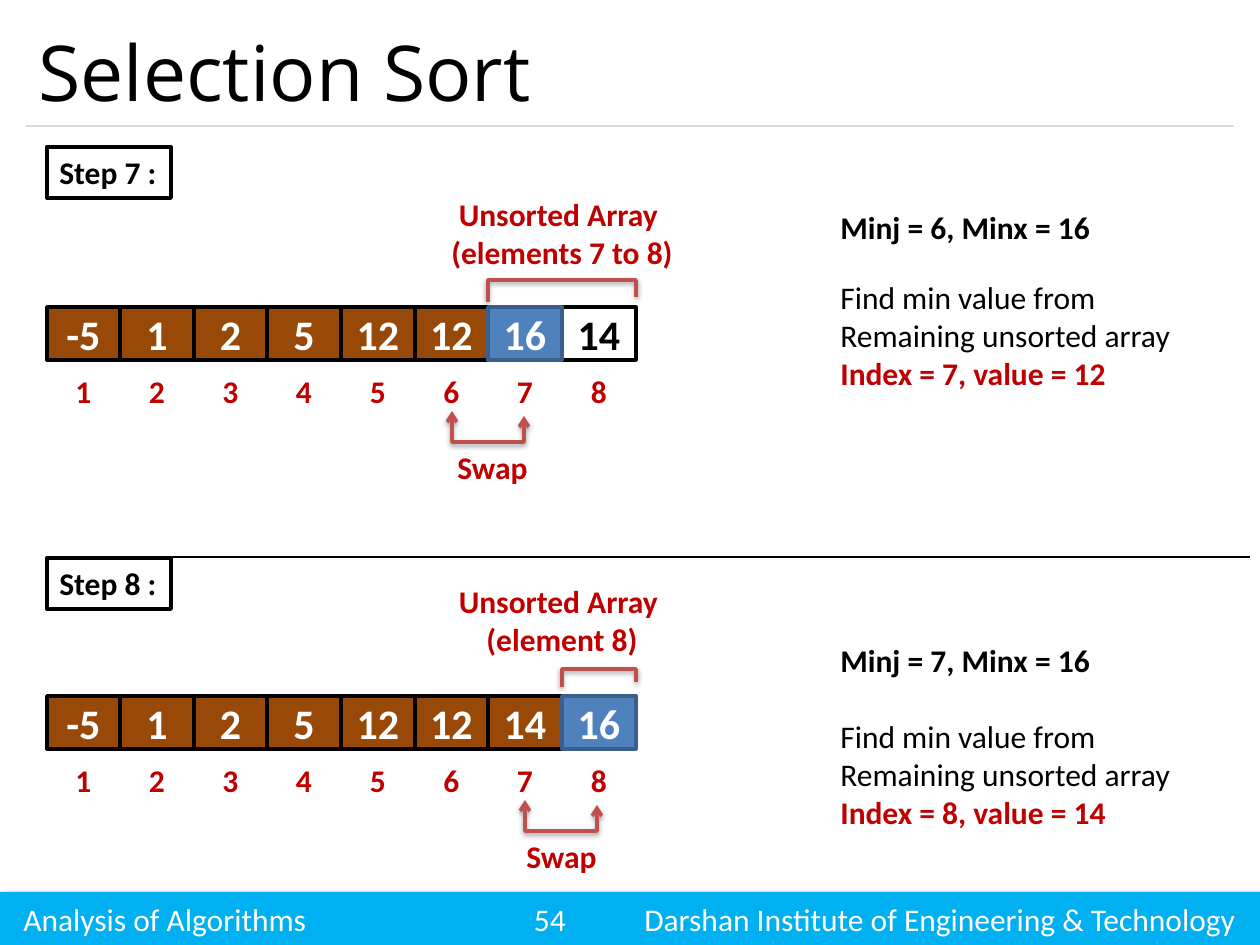
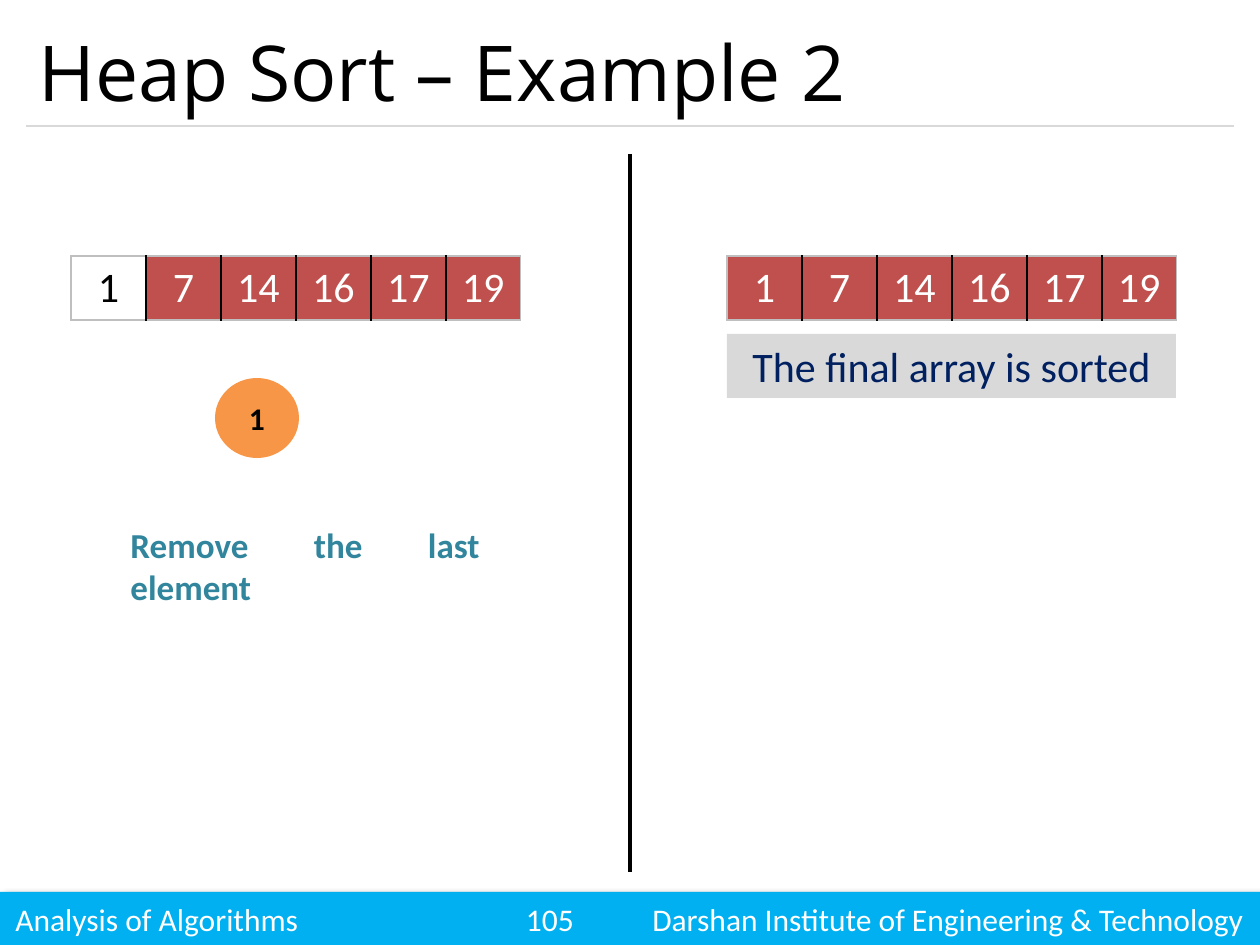
from lxml import etree
from pptx import Presentation
from pptx.dml.color import RGBColor
from pptx.enum.shapes import MSO_CONNECTOR, MSO_SHAPE
from pptx.enum.text import MSO_ANCHOR, PP_ALIGN
from pptx.oxml.ns import qn
from pptx.util import Emu, Pt

# Shared look
PX = 914400 / 126
PAGE_WIDTH, PAGE_HEIGHT = 1260, 945
LEFT, CENTER, RIGHT, JUSTIFY = PP_ALIGN.LEFT, PP_ALIGN.CENTER, PP_ALIGN.RIGHT, PP_ALIGN.JUSTIFY
TOP, MIDDLE = MSO_ANCHOR.TOP, MSO_ANCHOR.MIDDLE
RECTANGLE, OVAL = MSO_SHAPE.RECTANGLE, MSO_SHAPE.OVAL
STRAIGHT = MSO_CONNECTOR.STRAIGHT
BODY_FONT, TITLE_FONT = "Calibri", "Open Sans"
BLACK, WHITE = "000000", "FFFFFF"
BAND_BLUE, RULE_GRAY, EDGE_GRAY = "00B0F0", "D9D9D9", "BFBFBF"
SORTED_BROWN, CURRENT_BLUE, CURRENT_EDGE = "984807", "4F81BD", "3A5F8C"
LABEL_RED, MARK_RED = "C00000", "C0504D"
NODE_ORANGE, NOTE_TEAL, RESULT_NAVY = "F79646", "31859C", "002060"

# Array grid of the selection sort
ARRAY_LEFT, ARRAY_WIDTH, ARRAY_LENGTH, CELL_HEIGHT = 47, 589, 8, 53


def px(length):
    return Emu(round(length * PX))


def color(hex_string):
    return RGBColor.from_string(hex_string)


def write_text(shape, text, size=18, font=BODY_FONT, fill=BLACK, bold=False,
               align=LEFT, anchor=TOP, wrap=True, last_fill=None):
    """Write one paragraph per line; last_fill makes the last line bold and coloured."""
    frame = shape.text_frame
    frame.word_wrap = wrap
    frame.vertical_anchor = anchor
    lines = text.split("\n")
    for number, line in enumerate(lines):
        para = frame.paragraphs[0] if number == 0 else frame.add_paragraph()
        para.alignment = align
        span = para.add_run()
        span.text = line
        accented = last_fill and number == len(lines) - 1
        span.font.size = Pt(size)
        span.font.name = font
        span.font.bold = bool(bold or accented)
        span.font.color.rgb = color(last_fill if accented else fill)


def add_text(page, left, top, width, height, text, **text_format):
    box = page.shapes.add_textbox(px(left), px(top), px(width), px(height))
    write_text(box, text, **text_format)


def style_outline(shape, line, weight):
    if line:
        shape.line.color.rgb = color(line)
        shape.line.width = Pt(weight)
    else:
        shape.line.fill.background()


def add_box(page, left, top, width, height, text="", kind=RECTANGLE,
            background=None, line=None, weight=2, **text_format):
    box = page.shapes.add_shape(kind, px(left), px(top), px(width), px(height))
    box.shadow.inherit = False
    if background:
        box.fill.solid()
        box.fill.fore_color.rgb = color(background)
    else:
        box.fill.background()
    style_outline(box, line, weight)
    if text:
        write_text(box, text, **text_format)
    return box


def add_line(page, start, end, line, weight):
    connector = page.shapes.add_connector(STRAIGHT, *map(px, start + end))
    style_outline(connector, line, weight)
    etree.SubElement(connector._element.spPr, qn("a:effectLst"))


def add_shadow(shape, blur, distance, angle, opacity):
    shape.shadow.inherit = False
    effects = shape._element.spPr.find(qn("a:effectLst"))
    shadow = etree.SubElement(effects, qn("a:outerShdw"), blurRad=str(Pt(blur)),
                              dist=str(Pt(distance)), dir=str(angle * 60000), rotWithShape="0")
    tint = etree.SubElement(shadow, qn("a:srgbClr"), val=BLACK)
    etree.SubElement(tint, qn("a:alpha"), val=str(opacity * 1000))


def add_bracket(page, points, arrows=False):
    builder = page.shapes.build_freeform(*points[0], scale=PX)
    builder.add_line_segments(points[1:], close=False)
    bracket = builder.convert_to_shape()
    bracket.fill.background()
    style_outline(bracket, MARK_RED, 2)
    add_shadow(bracket, blur=3.1, distance=1.6, angle=90, opacity=38)
    if arrows:
        for end in ("a:headEnd", "a:tailEnd"):
            etree.SubElement(bracket.line._ln, qn(end), type="arrow")


def add_page(deck, title, number, footer_margin):
    """Start a page with its title, rule and footer band."""
    page = deck.slides.add_slide(deck.slide_layouts[6])
    band_top, band_height = 892, 53
    band = add_box(page, 0, band_top, PAGE_WIDTH, band_height, background=BAND_BLUE)
    add_shadow(band, blur=4, distance=3, angle=45, opacity=40)
    inset = 13
    for left, width, text, align in (
            (footer_margin - inset, 400, "Analysis of Algorithms", LEFT),
            (500, 100, number, CENTER),
            (559 - footer_margin + inset, 700,
             "Darshan Institute of Engineering & Technology", RIGHT)):
        add_text(page, left, band_top, width, band_height, text,
                 fill=WHITE, align=align, anchor=MIDDLE)
    add_line(page, (26, 126), (1234, 126), RULE_GRAY, 0.75)
    add_text(page, 26, 15, 1208, 111, title, size=44, font=TITLE_FONT, anchor=MIDDLE)
    return page


def cell_edge(index):
    return ARRAY_LEFT + ARRAY_WIDTH * index // ARRAY_LENGTH


def add_array(page, top, values, current):
    """Draw the array: sorted cells, the current one, then unsorted ones."""
    for index in range(ARRAY_LENGTH):
        left = cell_edge(index)
        add_box(page, left, top + 57, cell_edge(index + 1) - left, CELL_HEIGHT,
                str(index + 1), background=WHITE, fill=LABEL_RED, bold=True,
                align=CENTER, anchor=MIDDLE)
    # The current cell goes last, so that its outline stays on top
    for index in sorted(range(ARRAY_LENGTH), key=lambda place: place == current):
        left = cell_edge(index)
        if index == current:
            background, line, ink = CURRENT_BLUE, CURRENT_EDGE, WHITE
        elif index < current:
            background, line, ink = SORTED_BROWN, BLACK, WHITE
        else:
            background, line, ink = WHITE, BLACK, BLACK
        add_box(page, left, top, cell_edge(index + 1) - left, CELL_HEIGHT,
                str(values[index]), background=background, line=line, size=24,
                fill=ink, bold=True, align=CENTER, anchor=MIDDLE)


def add_sort_step(page, top, values, current, step, step_top, unsorted, unsorted_top,
                  bracket_depth, swap_left, swap_label_left, minimum, minimum_top,
                  result, result_top):
    add_array(page, top, values, current)
    add_box(page, 47, step_top, 124, 51, step, line=BLACK, weight=2.25,
            bold=True, wrap=False)

    # Unsorted part
    start, end, bracket_top = cell_edge(current), cell_edge(ARRAY_LENGTH), top - 27
    add_text(page, 438, unsorted_top, 248, 89, unsorted, fill=LABEL_RED,
             bold=True, align=CENTER)
    add_bracket(page, [(start, bracket_top + bracket_depth), (start, bracket_top),
                       (end, bracket_top), (end, bracket_top + bracket_depth - 5)])

    # Swap
    swap_right, swap_bottom = swap_left + 72, top + 135
    add_bracket(page, [(swap_left, top + 104), (swap_left, swap_bottom),
                       (swap_right, swap_bottom), (swap_right, top + 109)], arrows=True)
    add_text(page, swap_label_left, swap_bottom, 125, 51, "Swap", fill=LABEL_RED,
             bold=True, align=CENTER)

    # Explanation
    add_text(page, 828, minimum_top, 400, 51, minimum, bold=True)
    add_text(page, 828, result_top, 400, 127,
             "Find min value from\nRemaining unsorted array\n" + result,
             last_fill=LABEL_RED)


def set_cell_borders(cell, **sides):
    properties = cell._tc.get_or_add_tcPr()
    for side in "LRTB":
        border = etree.SubElement(properties, qn("a:ln" + side), w=str(Pt(1)))
        paint = etree.SubElement(border, qn("a:solidFill"))
        etree.SubElement(paint, qn("a:srgbClr"), val=sides.get(side, EDGE_GRAY))


def add_heap_table(page, left, values, sorted_from):
    count, column_width = len(values), 75
    table = page.shapes.add_table(1, count, px(left), px(256),
                                  px(column_width * count), px(64)).table
    table.first_row = table.horz_banding = False
    for index, value in enumerate(values):
        cell = table.cell(0, index)
        inner = {}
        if index > 0:
            inner["L"] = BLACK
        if index < count - 1:
            inner["R"] = BLACK
        set_cell_borders(cell, **inner)
        in_place = index >= sorted_from
        if in_place:
            cell.fill.solid()
            cell.fill.fore_color.rgb = color(MARK_RED)
        else:
            cell.fill.background()
        write_text(cell, str(value), size=24, fill=WHITE if in_place else BLACK, align=CENTER)


def build_selection_sort(deck):
    page = add_page(deck, "Selection Sort", "54", footer_margin=24)
    add_sort_step(page, top=307, values=[-5, 1, 2, 5, 12, 12, 16, 14], current=6,
                  step="Step 7 :", step_top=147,
                  unsorted="Unsorted Array \n(elements 7 to 8)", unsorted_top=189,
                  bracket_depth=22, swap_left=452, swap_label_left=430,
                  minimum="Minj = 6, Minx = 16", minimum_top=202,
                  result="Index = 7, value = 12", result_top=272)
    add_sort_step(page, top=696, values=[-5, 1, 2, 5, 12, 12, 14, 16], current=7,
                  step="Step 8 :", step_top=558,
                  unsorted="Unsorted Array \n(element 8)", unsorted_top=576,
                  bracket_depth=18, swap_left=525, swap_label_left=499,
                  minimum="Minj = 7, Minx = 16", minimum_top=635,
                  result="Index = 8, value = 14", result_top=711)
    add_line(page, (47, 557), (1250, 557), BLACK, 0.75)


def build_heap_sort(deck):
    page = add_page(deck, "Heap Sort – Example 2", "105", footer_margin=16)
    values = [1, 7, 14, 16, 17, 19]
    add_line(page, (630, 154), (630, 872), BLACK, 2.25)

    # Last heap element
    add_heap_table(page, 71, values, sorted_from=1)
    add_box(page, 215, 378, 84, 80, "1", kind=OVAL, background=NODE_ORANGE,
            bold=True, align=CENTER, anchor=MIDDLE)
    add_text(page, 118, 517, 374, 97, "Remove the last element", size=20,
             fill=NOTE_TEAL, bold=True, align=JUSTIFY)

    # Sorted array
    add_heap_table(page, 727, values, sorted_from=0)
    add_box(page, 727, 334, 449, 64, "The final array is sorted", background=RULE_GRAY,
            size=24, fill=RESULT_NAVY, align=CENTER)


def main():
    deck = Presentation()
    deck.slide_width, deck.slide_height = px(PAGE_WIDTH), px(PAGE_HEIGHT)
    build_selection_sort(deck)
    build_heap_sort(deck)
    deck.save("out.pptx")


if __name__ == "__main__":
    main()
